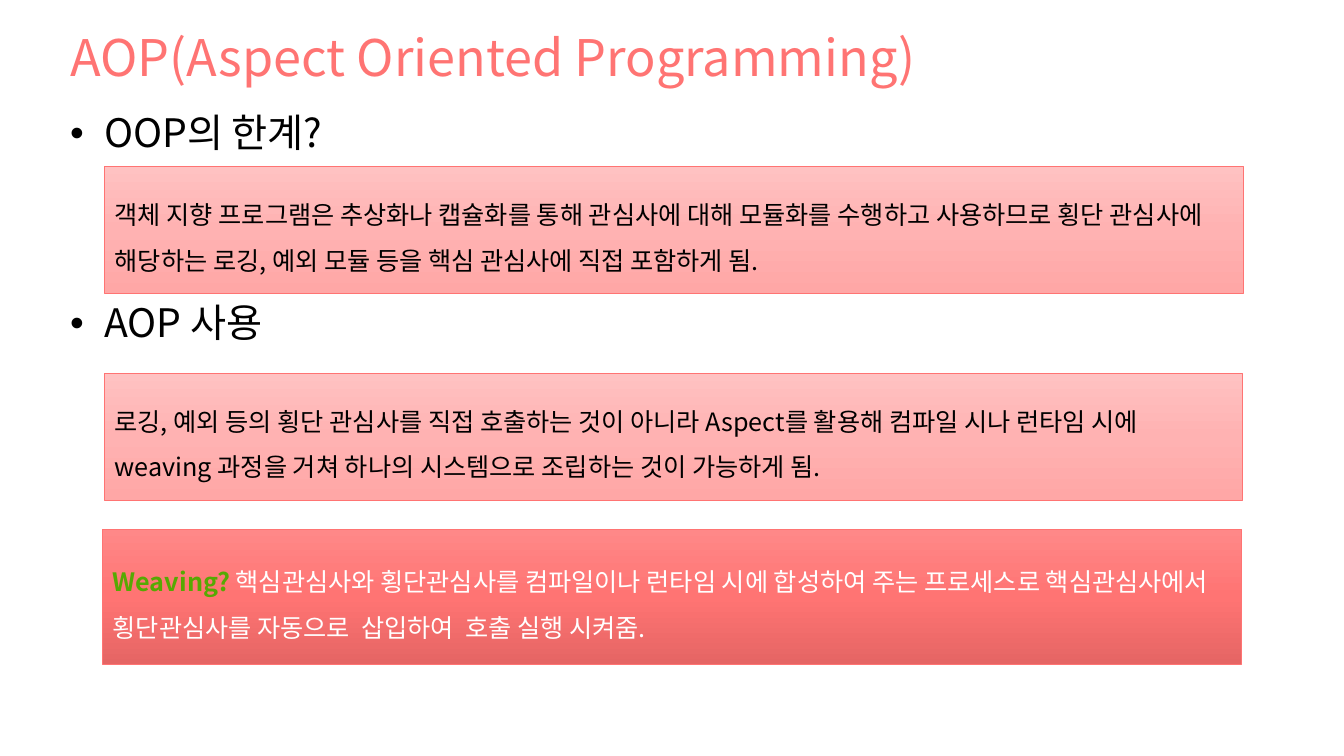
from copy import deepcopy

from pptx import Presentation
from pptx.dml.color import RGBColor
from pptx.enum.shapes import MSO_SHAPE
from pptx.enum.text import MSO_ANCHOR, PP_ALIGN
from pptx.oxml.ns import qn
from pptx.oxml.xmlchemy import OxmlElement
from pptx.util import Cm, Pt

FACE = "Noto Sans CJK KR"
HUES = {"coral": "FF7473", "black": "000000", "white": "FFFFFF", "green": "56A902"}
FILLS = {
    "pale": ("FFC2C2", "FFB2B2", "FFA7A6"),
    "deep": ("FF8888", "FF7473", "E56564"),
}
HEAD = {"size": Pt(36), "bold": False}
POINT = {"size": Pt(28), "bold": False}
PLAIN = {"size": Pt(18), "bold": False}
STRONG = {"size": Pt(18), "bold": True}
TIGHT = {"line_spacing": 0.9, "alignment": PP_ALIGN.LEFT}
LOOSE = {"line_spacing": 1.5, "alignment": PP_ALIGN.LEFT}
MIDDLE = {"word_wrap": True, "vertical_anchor": MSO_ANCHOR.MIDDLE}
TOP = {"word_wrap": True, "vertical_anchor": MSO_ANCHOR.TOP}


def style(item, form):
    """Set each value of a format dict on an item."""
    for name, value in form.items():
        setattr(item, name, value)


def write(para, text, hue, form):
    """Add a run in the slide's font to a paragraph."""
    run = para.add_run()
    run.text = text
    style(run.font, {"name": FACE, **form})
    run.font.color.rgb = RGBColor.from_string(HUES[hue])
    east = OxmlElement("a:ea")
    east.set("typeface", FACE)
    run.font._element.find(qn("a:latin")).addnext(east)


def add_frame(slide, place, form):
    """Add a text box and return its text frame."""
    frame = slide.shapes.add_textbox(*map(Cm, place)).text_frame
    style(frame, form)
    return frame


def add_title(slide, place, text):
    """Add the slide's heading."""
    para = add_frame(slide, place, MIDDLE).paragraphs[0]
    style(para, TIGHT)
    write(para, text, "coral", HEAD)


def add_points(slide, place, points):
    """Add bullet points, each with its space before in points."""
    frame = add_frame(slide, place, TOP)
    for rank, (text, gap) in enumerate(points):
        para = frame.add_paragraph() if rank else frame.paragraphs[0]
        style(para, {**TIGHT, "space_before": Pt(gap)})
        props = para._p.get_or_add_pPr()
        props.set("marL", str(Cm(0.64)))
        props.set("indent", str(Cm(-0.64)))
        for tag, key, value in (("a:buFont", "typeface", "Arial"), ("a:buChar", "char", "•")):
            mark = OxmlElement(tag)
            mark.set(key, value)
            props.append(mark)
        write(para, text, "black", POINT)


def shade(shape, hues):
    """Fill a shape with an even gradient from top to bottom."""
    fill = shape.fill
    fill.gradient()
    fill.gradient_angle = 270
    stops = shape._element.spPr.find(qn("a:gradFill")).find(qn("a:gsLst"))
    while len(stops) < len(hues):
        stops.append(deepcopy(stops[-1]))
    for rank, (stop, hue) in enumerate(zip(fill.gradient_stops, hues)):
        stop.position = rank / (len(hues) - 1)
        stop.color.rgb = RGBColor.from_string(hue)


def add_panel(slide, place, fill, parts):
    """Add a shaded panel with its text parts."""
    shape = slide.shapes.add_shape(MSO_SHAPE.RECTANGLE, *map(Cm, place))
    shape.shadow.inherit = False
    shade(shape, FILLS[fill])
    shape.line.color.rgb = RGBColor.from_string(HUES["coral"])
    shape.line.width = Pt(0.5)
    style(shape.text_frame, MIDDLE)
    para = shape.text_frame.paragraphs[0]
    style(para, LOOSE)
    for part in parts:
        write(para, *part)


def main():
    """Build the slide and save it."""
    deck = Presentation()
    style(deck, {"slide_width": Cm(33.87), "slide_height": Cm(19.05)})
    slide = deck.slides.add_slide(deck.slide_layouts[6])
    add_title(slide, (1.52, 0.58, 30.84, 1.9), "AOP(Aspect Oriented Programming)")
    add_points(slide, (1.52, 2.74, 30.84, 15.93), [(" OOP의 한계?", 10), (" AOP 사용", 105.5)])
    add_panel(slide, (2.64, 9.4, 28.68, 3.2), "pale", [
        ("로깅, 예외 등의 횡단 관심사를 직접 호출하는 것이 아니라 Aspect를 활용해 컴파일 시나 런타임 시에 "
         "weaving 과정을 거쳐 하나의 시스템으로 조립하는 것이 가능하게 됨.", "black", PLAIN),
    ])
    add_panel(slide, (2.64, 4.19, 28.7, 3.2), "pale", [
        ("객체 지향 프로그램은 추상화나 캡슐화를 통해 관심사에 대해 모듈화를 수행하고 사용하므로 횡단 관심사에 "
         "해당하는 로깅, 예외 모듈 등을 핵심 관심사에 직접 포함하게 됨.", "black", PLAIN),
    ])
    add_panel(slide, (2.59, 13.34, 28.7, 3.4), "deep", [
        ("Weaving? ", "green", STRONG),
        ("핵심관심사와 횡단관심사를 컴파일이나 런타임 시에 합성하여 주는 프로세스로 핵심관심사에서 "
         "횡단관심사를 자동으로  삽입하여  호출 실행 시켜줌.", "white", PLAIN),
    ])
    deck.save("out.pptx")


if __name__ == "__main__":
    main()
